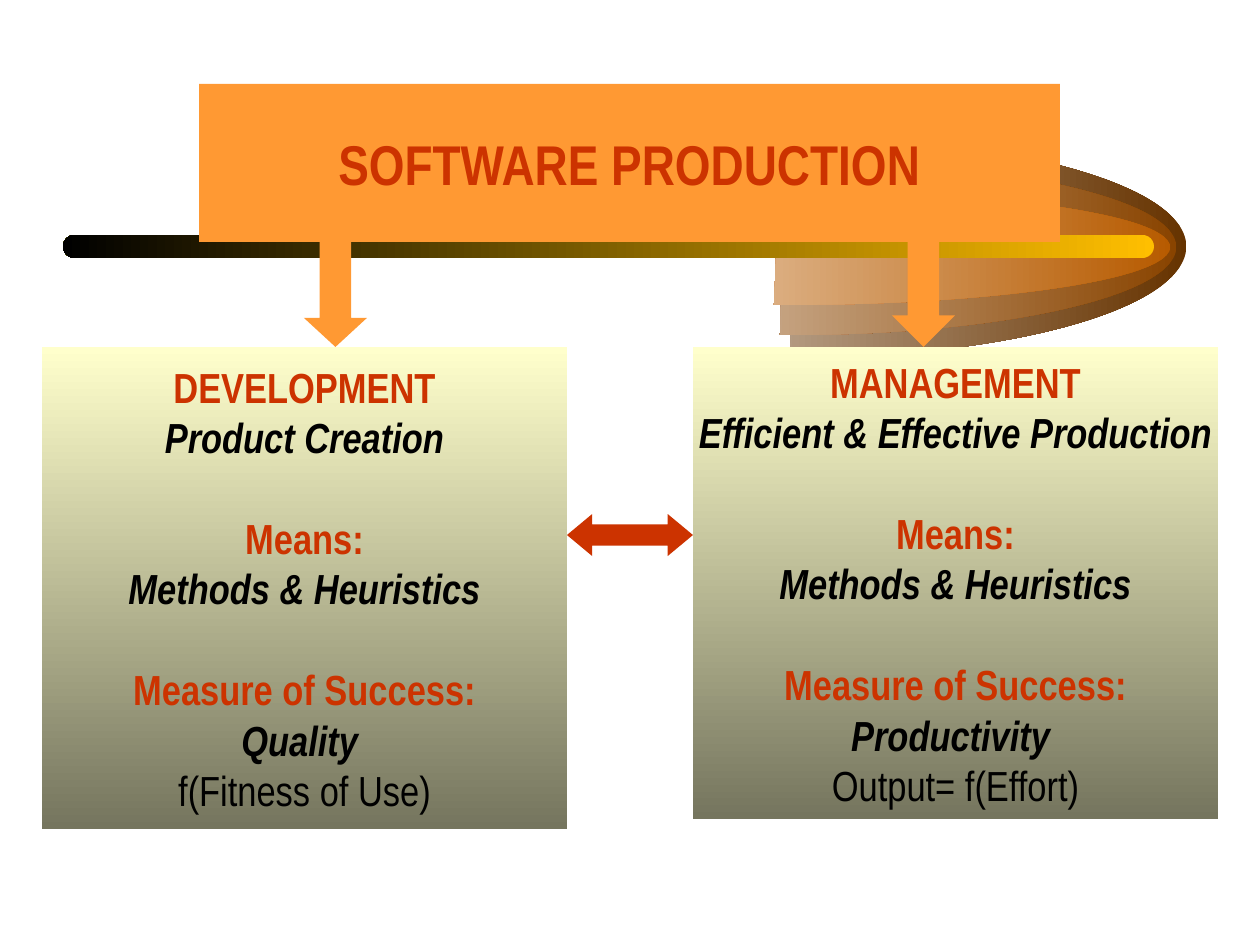
from lxml.etree import SubElement
from pptx import Presentation
from pptx.dml.color import RGBColor
from pptx.enum.shapes import MSO_SHAPE as Shape
from pptx.enum.text import MSO_ANCHOR as Anchor, MSO_AUTO_SIZE as Fit, PP_ALIGN as Align
from pptx.oxml.ns import qn
from pptx.util import Pt

PX = 914400 / 126
FONT = "Arial Narrow"
HEX = {
    "orange": "FF9933", "red": "CC3300", "black": "000000", "gold": "FFBF00",
    "cream": "FFFFCC", "olive": "75755E", "white": "FFFFFF",
    "outer": "663300", "middle": "894400", "inner": "B75B00",
}
RGB = {name: RGBColor.from_string(code) for name, code in HEX.items()}


def emu(*sizes):
    return [round(size * PX) for size in sizes]


def paint(shape, *names, angle=0):
    """Fill with one colour, or with a gradient between two; no line or shadow."""
    shape.shadow.inherit = False
    shape.line.fill.background()
    if len(names) == 1:
        shape.fill.solid()
        shape.fill.fore_color.rgb = RGB[names[0]]
        return
    shape.fill.gradient()
    shape.fill.gradient_angle = angle
    for stop, name in zip(shape.fill.gradient_stops, names):
        stop.color.rgb = RGB[name]


deck = Presentation()
deck.slide_width, deck.slide_height = emu(1260, 945)
slide = deck.slides.add_slide(deck.slide_layouts[5])
shapes = slide.shapes

# Comet: three curved right halves, each in a frame of 626 by 174 units
arc = [
    ("moveTo", [(312, 0)]),
    ("cubicBezTo", [(424, -1), (528, 16), (584, 43)]),
    ("cubicBezTo", [(640, 70), (639, 104), (583, 131)]),
    ("cubicBezTo", [(527, 158), (423, 175), (311, 174)]),
]
wedge = arc + [("lnTo", [(313, 87)]), ("close", [])]
layers = [("outer", 398, 137, 220), ("middle", 388, 160, 175), ("inner", 382, 190, 115)]
for name, left, top, high in layers:
    draft = shapes.build_freeform(left, top, scale=PX)
    draft.add_line_segments([(left + 789, top + high)])
    half = draft.convert_to_shape()
    paths = half._element.find(".//" + qn("a:pathLst"))
    paths.clear()
    for steps, fill in [(wedge, "norm"), (arc, "none")]:
        curve = SubElement(paths, qn("a:path"), w="626", h="174", fill=fill)
        for verb, points in steps:
            step = SubElement(curve, qn("a:" + verb))
            for x, y in points:
                SubElement(step, qn("a:pt"), x=str(x), y=str(y))
    paint(half, name, "white", angle=180)

bar = shapes.add_shape(Shape.ROUNDED_RECTANGLE, *emu(63, 235, 1091, 23))
bar.adjustments[0] = 0.5
paint(bar, "gold", "black", angle=180)

# Title, brought in front of the comet
title = shapes.title
shapes._spTree.append(title._element)
title.left, title.top, title.width, title.height = emu(199, 84, 861, 158)
title.fill.solid()
title.fill.fore_color.rgb = RGB["orange"]
frame = title.text_frame
frame.text = "SOFTWARE PRODUCTION"
frame.word_wrap = False
frame.auto_size = Fit.NONE
frame.vertical_anchor = Anchor.MIDDLE
head = frame.paragraphs[0]
head.alignment = Align.CENTER
head.font.name, head.font.size, head.font.bold = FONT, Pt(32), True
head.font.color.rgb = RGB["red"]

# Arrows
arrows = [
    (Shape.LEFT_RIGHT_ARROW, (567, 514, 126, 42), 0.6, "red"),
    (Shape.DOWN_ARROW, (304, 231, 63, 116), 0.46, "orange"),
    (Shape.DOWN_ARROW, (892, 221, 63, 126), 0.5, "orange"),
]
for kind, place, tip, name in arrows:
    arrow = shapes.add_shape(kind, *emu(*place))
    arrow.adjustments[0] = 0.5
    arrow.adjustments[1] = tip
    paint(arrow, name)

# Panels
panels = [
    (42, 482, "DEVELOPMENT", "Product Creation", "Quality ", "f(Fitness of Use)"),
    (693, 472, "MANAGEMENT", "Efficient & Effective Production",
     "Productivity ", "Output= f(Effort)"),
]
for left, high, name, goal, gauge, rule in panels:
    panel = shapes.add_shape(Shape.RECTANGLE, *emu(left, 347, 525, high))
    paint(panel, "cream", "olive", angle=270)
    frame = panel.text_frame
    frame.word_wrap = False
    frame.vertical_anchor = Anchor.MIDDLE
    heads = [name, "Means:", "Measure of Success:"]
    lines = [name, goal, "Means:", "Methods & Heuristics",
             "Measure of Success:", gauge, rule]
    frame.text = "\n".join(lines)
    for para, line in zip(frame.paragraphs, lines):
        top = line in heads
        para.alignment = Align.CENTER
        if top and line != name:
            para.space_before = Pt(28.8)
        font = para.font
        font.name, font.size = FONT, Pt(24)
        font.bold = line != rule
        font.italic = not top and line != rule
        font.color.rgb = RGB["red" if top else "black"]

deck.save("out.pptx")
